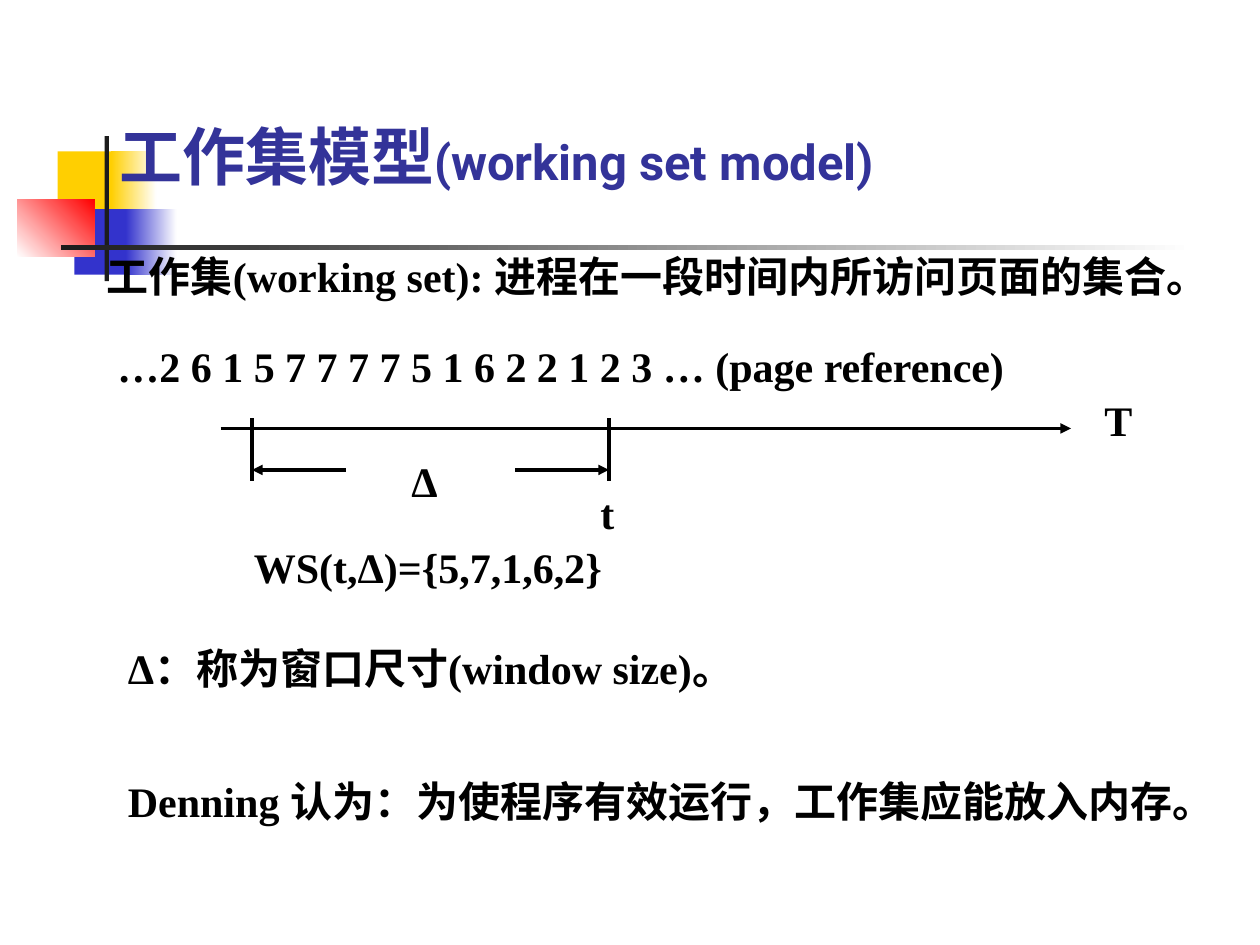
"""Build the working set model slide."""
from dataclasses import dataclass

from lxml.etree import SubElement
from pptx import Presentation
from pptx.dml.color import RGBColor as RGB
from pptx.enum.shapes import MSO_CONNECTOR as CONN, MSO_SHAPE as SHAPE
from pptx.enum.text import MSO_ANCHOR as ANCHOR, MSO_AUTO_SIZE as AUTO
from pptx.oxml.ns import qn
from pptx.slide import Slide
from pptx.text.text import TextFrame
from pptx.util import Pt


@dataclass(frozen=True)
class Theme:
    title: str = "333399"
    ink: str = "000000"
    bar: str = "1C1C1C"
    yellow: str = "FFCF01"
    blue: str = "3333CC"
    red: str = "FF0000"
    white: str = "FFFFFF"
    title_font: str = "Roboto"
    body_font: str = "Times New Roman"
    title_size: float = 36
    subtitle_size: float = 28
    body_size: float = 24


@dataclass(frozen=True)
class Block:
    left: float
    top: float
    width: float
    height: float
    colors: tuple[str, ...]
    angle: float = 0


@dataclass(frozen=True)
class Line:
    x1: float
    y1: float
    x2: float
    y2: float
    weight: float = 2
    arrow: bool = True


@dataclass(frozen=True)
class Label:
    left: float
    top: float
    width: float
    lines: tuple[str, ...]
    height: float = 36
    indent: float = 0
    gap: float = 0


T = Theme()
AXIS_Y, SPAN_Y = 244.8, 268.5
WINDOW_START, WINDOW_END = 144, 348
TICK_TOP, TICK_BOTTOM = 239, 275
ARROW = 53.5

BLOCKS = (
    Block(33, 86.5, 34.5, 37.5, (T.yellow,)),
    Block(63.5, 86.5, 26, 37.5, (T.yellow, T.white)),
    Block(42.5, 119.5, 33, 37.5, (T.blue,)),
    Block(72, 119.5, 29, 37.5, (T.blue, T.white)),
    Block(10, 113.8, 44, 33, (T.white, T.red), 45),
    Block(59.8, 77.8, 2.5, 82.8, (T.bar,)),
    Block(34.6, 140.2, 648, 2.5, (T.bar, T.white)),
)
LINES = (
    Line(126, AXIS_Y, 612, AXIS_Y),
    *(Line(x, TICK_TOP, x, TICK_BOTTOM, 1.75, False) for x in (WINDOW_START, WINDOW_END)),
    Line(WINDOW_END - ARROW, SPAN_Y, WINDOW_END, SPAN_Y),
    Line(WINDOW_START + ARROW, SPAN_Y, WINDOW_START, SPAN_Y),
)
LABELS = (
    Label(48, 139.7, 636, ("工作集(working set): 进程在一段时间内所访问页面的集合。",), indent=6),
    Label(60, 191, 606, ("…2 6 1 5 7 7 7 7 5 1 6 2 2 1 2 3 … (page reference)",)),
    Label(624, 222, 42, ("T",)),
    Label(228, 257, 42, ("Δ",)),
    Label(336, 275, 36, ("t",)),
    Label(138, 306, 216, ("WS(t,Δ)={5,7,1,6,2}",)),
    Label(66, 363.6, 628.5, ("Δ：称为窗口尺寸(window size)。",
                             "Denning 认为：为使程序有效运行，工作集应能放入内存。"),
          height=122.4, gap=47),
)


def add_text(tf: TextFrame, text: str, *, font: str = T.body_font, size: float = T.body_size,
             color: str = T.ink, new: bool = False, before: float = 0, indent: float = 0) -> None:
    """Append a bold run to the last paragraph or to a new one."""
    p = tf.add_paragraph() if new else tf.paragraphs[-1]
    p.space_before = Pt(before)
    if indent:
        p._p.get_or_add_pPr().set("indent", str(Pt(indent)))
    r = p.add_run()
    r.text = text
    r.font.name, r.font.size, r.font.bold = font, Pt(size), True
    r.font.color.rgb = RGB.from_string(color)


def add_block(s: Slide, b: Block) -> None:
    """Draw a rectangle with a solid or two-colour fill."""
    sp = s.shapes.add_shape(SHAPE.RECTANGLE, Pt(b.left), Pt(b.top), Pt(b.width), Pt(b.height))
    sp.shadow.inherit = False
    sp.line.fill.background()
    if len(b.colors) == 1:
        sp.fill.solid()
        sp.fill.fore_color.rgb = RGB.from_string(b.colors[0])
        return
    sp.fill.gradient()
    sp.fill.gradient_angle = b.angle
    for stop, color in zip(sp.fill.gradient_stops, b.colors):
        stop.color.rgb = RGB.from_string(color)


def add_line(s: Slide, line: Line) -> None:
    """Draw a straight line, with an arrowhead at its end if wanted."""
    sp = s.shapes.add_connector(CONN.STRAIGHT, Pt(line.x1), Pt(line.y1), Pt(line.x2), Pt(line.y2))
    sp.line.color.rgb = RGB.from_string(T.ink)
    sp.line.width = Pt(line.weight)
    if line.arrow:
        SubElement(sp.line._get_or_add_ln(), qn("a:tailEnd"), type="triangle")
    SubElement(sp._element.spPr, qn("a:effectLst"))


def add_label(s: Slide, label: Label) -> None:
    """Draw a text box with one paragraph per line."""
    sp = s.shapes.add_textbox(Pt(label.left), Pt(label.top), Pt(label.width), Pt(label.height))
    tf = sp.text_frame
    tf.word_wrap = True
    tf.auto_size = AUTO.SHAPE_TO_FIT_TEXT
    for i, text in enumerate(label.lines):
        add_text(tf, text, new=i > 0, before=label.gap if i else 0, indent=label.indent)


def add_title(s: Slide) -> None:
    """Place the title above the decoration and fill it."""
    sp = s.shapes.title
    sp.left, sp.top, sp.width, sp.height = Pt(36), Pt(24), Pt(642), Pt(90)
    s.shapes._spTree.append(sp._element)
    tf = sp.text_frame
    tf.word_wrap = True
    tf.auto_size = AUTO.NONE
    tf.vertical_anchor = ANCHOR.BOTTOM
    tf.margin_left = Pt(32)
    tf.paragraphs[0].alignment = 1
    for text, size in (("工作集模型", T.title_size), ("(working set model)", T.subtitle_size)):
        add_text(tf, text, font=T.title_font, size=size, color=T.title)


def main() -> None:
    """Build and save the slide."""
    prs = Presentation()
    prs.slide_width, prs.slide_height = Pt(720), Pt(540)
    s = prs.slides.add_slide(prs.slide_layouts[5])
    for block in BLOCKS:
        add_block(s, block)
    add_title(s)
    for line in LINES:
        add_line(s, line)
    for label in LABELS:
        add_label(s, label)
    prs.save("out.pptx")


if __name__ == "__main__":
    main()
